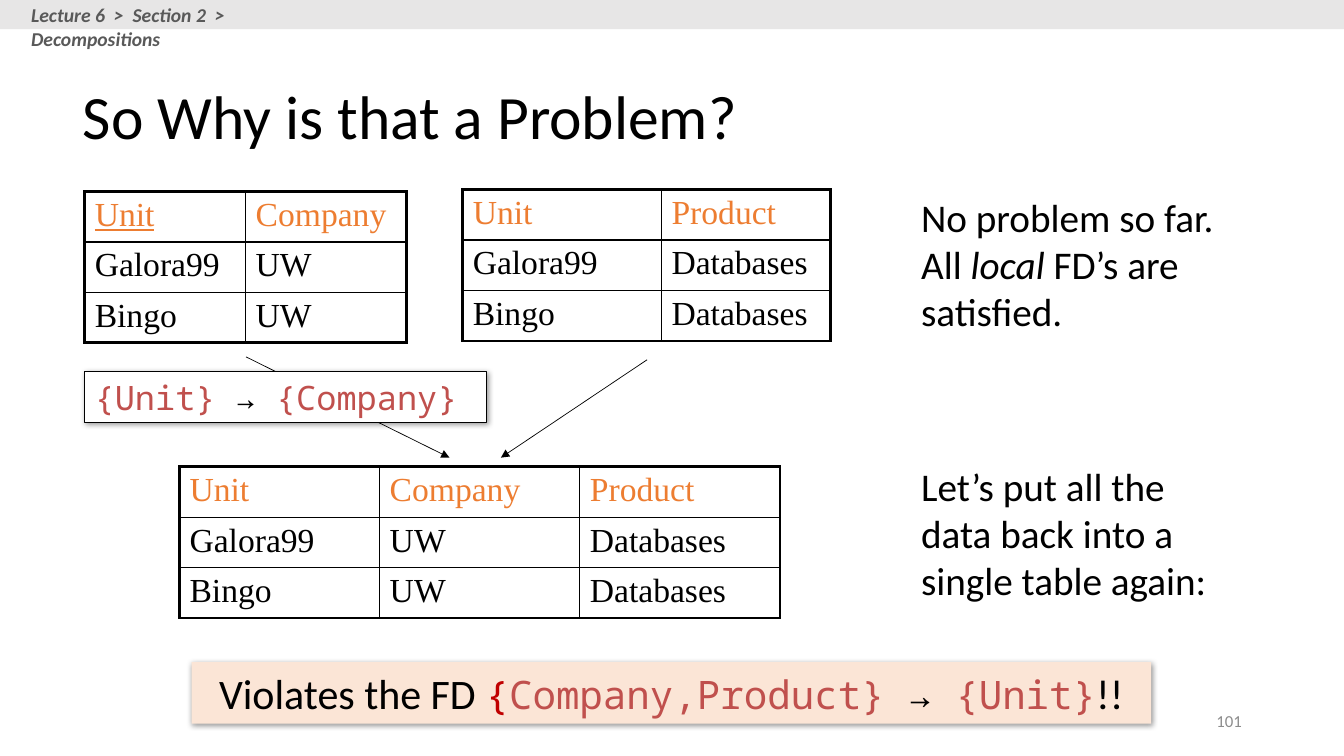
from lxml import etree
from pptx import Presentation
from pptx.dml.color import RGBColor
from pptx.enum import shapes, text
from pptx.oxml import ns
from pptx.util import Pt

# Content
INK = {"black": "000000", "head": "ED7D31", "code": "C0504D", "red": "C00000",
       "gray": "8C8C8C", "crumb": "595959", "bar": "E7E6E6", "peach": "FBE5D6",
       "white": "FFFFFF"}
SANS, MONO, SERIF = "Calibri", "Noto Sans Mono", "Times New Roman"

# Runs: text, font, size, colour, style letters (b, i, u)
TITLE = [("So Why is that a Problem?", SANS, 44, "black", "")]
CRUMB = [("Lecture 6  >  Section 2  >  Decompositions", SANS, 14, "crumb", "bi")]
PAGE = [("101", SANS, 12, "gray", "")]
LOCAL = [("No problem so far. All ", SANS, 28, "black", ""),
         ("local", SANS, 28, "black", "i"),
         (" FD’s are satisfied.", SANS, 28, "black", "")]
MERGE = [("Let’s put all the data back into a single table again:",
          SANS, 28, "black", "")]
RULE = [("{Unit} ", MONO, 24, "code", ""), ("→", MONO, 24, "black", ""),
        (" {Company}", MONO, 24, "code", "")]
BREACH = [("Violates the FD ", SANS, 30, "black", ""),
          ("{", MONO, 28, "red", ""),
          ("Company,Product} ", MONO, 28, "code", ""),
          ("→ ", MONO, 28, "black", ""),
          ("{Unit}", MONO, 28, "code", ""),
          ("!!", SANS, 30, "black", "")]

# Tables: left, top, column widths, key column underlined, rows
TABLES = [
    (60.5, 136.8, (115, 115), True,
     [("Unit", "Company"), ("Galora99", "UW"), ("Bingo", "UW")]),
    (330.5, 135.4, (142, 121), False,
     [("Unit", "Product"), ("Galora99", "Databases"), ("Bingo", "Databases")]),
    (128.2, 333.4, (143, 143, 143), False,
     [("Unit", "Company", "Product"), ("Galora99", "UW", "Databases"),
      ("Bingo", "UW", "Databases")]),
]
ROW = 36
THICK, THIN = 2.25, 1

# Arrows: x and y of start, x and y of end
ARROWS = [(462.2, 257, 357.8, 326.9), (175.7, 254.9, 321.1, 326.9)]

LEFT, MID, RIGHT = text.PP_ALIGN.LEFT, text.PP_ALIGN.CENTER, text.PP_ALIGN.RIGHT
TOP, MIDDLE = text.MSO_ANCHOR.TOP, text.MSO_ANCHOR.MIDDLE


def color(name):
    return RGBColor.from_string(INK[name])


def add_node(parent, tag, **attrs):
    node = etree.SubElement(parent, ns.qn(tag))
    for key, val in attrs.items():
        node.set(key, str(val))
    return node


def write(frame, runs, align=LEFT, anchor=TOP):
    frame.word_wrap = True
    frame.vertical_anchor = anchor
    para = frame.paragraphs[0]
    para.alignment = align
    for words, face, size, ink, style in runs:
        run = para.add_run()
        run.text = words
        font = run.font
        font.name, font.size = face, Pt(size)
        font.color.rgb = color(ink)
        font.bold, font.italic = "b" in style, "i" in style
        font.underline = "u" in style
    return para


def add_text(box, runs, align=LEFT, anchor=TOP):
    area = slide.shapes.add_textbox(*map(Pt, box))
    write(area.text_frame, runs, align, anchor)


def add_box(box, fill, edge=None, shade=False):
    rect = slide.shapes.add_shape(shapes.MSO_SHAPE.RECTANGLE, *map(Pt, box))
    rect.shadow.inherit = False
    rect.fill.solid()
    rect.fill.fore_color.rgb = color(fill)
    if edge:
        rect.line.color.rgb = color(edge)
        rect.line.width = Pt(0.75)
    else:
        rect.line.fill.background()
    if shade:
        fx = rect._element.spPr.find(ns.qn("a:effectLst"))
        drop = add_node(fx, "a:outerShdw", blurRad=Pt(4), dist=Pt(1),
                        dir=45 * 60000, algn="tl", rotWithShape=0)
        tint = add_node(drop, "a:srgbClr", val=INK["black"])
        add_node(tint, "a:alpha", val=40000)
    return rect


def add_edge(cell, side, width):
    edge = add_node(cell._tc.get_or_add_tcPr(), "a:" + side, w=Pt(width))
    fill = add_node(edge, "a:solidFill")
    add_node(fill, "a:srgbClr", val=INK["black"])


def add_grid(left, top, widths, keyed, rows):
    high, wide = len(rows), len(widths)
    grid = slide.shapes.add_table(high, wide, Pt(left), Pt(top),
                                  Pt(sum(widths)), Pt(ROW * high)).table
    grid.first_row = grid.horz_banding = False
    for c, width in enumerate(widths):
        grid.columns[c].width = Pt(width)
    for r, row in enumerate(rows):
        grid.rows[r].height = Pt(ROW)
        for c, words in enumerate(row):
            cell = grid.cell(r, c)
            ink = "head" if r == 0 else "black"
            style = "u" if keyed and r == c == 0 else ""
            write(cell.text_frame, [(words, SERIF, 24, ink, style)])
            # Heavy frame, light inner rules
            outer = {"lnL": c == 0, "lnR": c == wide - 1,
                     "lnT": r == 0, "lnB": r == high - 1}
            for side, bold in outer.items():
                add_edge(cell, side, THICK if bold else THIN)
            cell.fill.background()


def add_arrow(x1, y1, x2, y2):
    line = slide.shapes.add_connector(shapes.MSO_CONNECTOR.STRAIGHT,
                                      *map(Pt, (x1, y1, x2, y2)))
    line.line.color.rgb = color("black")
    line.line.width = Pt(0.5)
    add_node(line.line._get_or_add_ln(), "a:tailEnd", type="triangle")
    add_node(line._element.spPr, "a:effectLst")


deck = Presentation()
deck.slide_width, deck.slide_height = Pt(960), Pt(540)
slide = deck.slides.add_slide(deck.slide_layouts[5])

# Title
title = slide.shapes.title
title.left, title.top, title.width, title.height = map(Pt, (52, 40.3, 612, 90))
write(title.text_frame, TITLE, LEFT, MIDDLE).line_spacing = 0.9

# Page number and side notes
add_text((678.2, 500.4, 216, 28.8), PAGE, RIGHT, MIDDLE)
add_text((650.9, 134.6, 243.4, 108.7), LOCAL)
add_text((650.9, 326.9, 227.5, 108.7), MERGE)

# Tables and the arrows that join them
for table in TABLES:
    add_grid(*table)
for arrow in ARROWS:
    add_arrow(*arrow)

# Dependency boxes
rule = add_box((60.5, 265.7, 287.3, 36), "white", "black", shade=True)
write(rule.text_frame, RULE)
breach = add_box((136.8, 473, 685.4, 43.9), "peach", shade=True)
write(breach.text_frame, BREACH, MID)

# Top bar with breadcrumb
add_box((0, 0, 960, 20.9), "bar")
add_text((15.1, -1.4, 247.7, 24.5), CRUMB)

deck.save("out.pptx")
